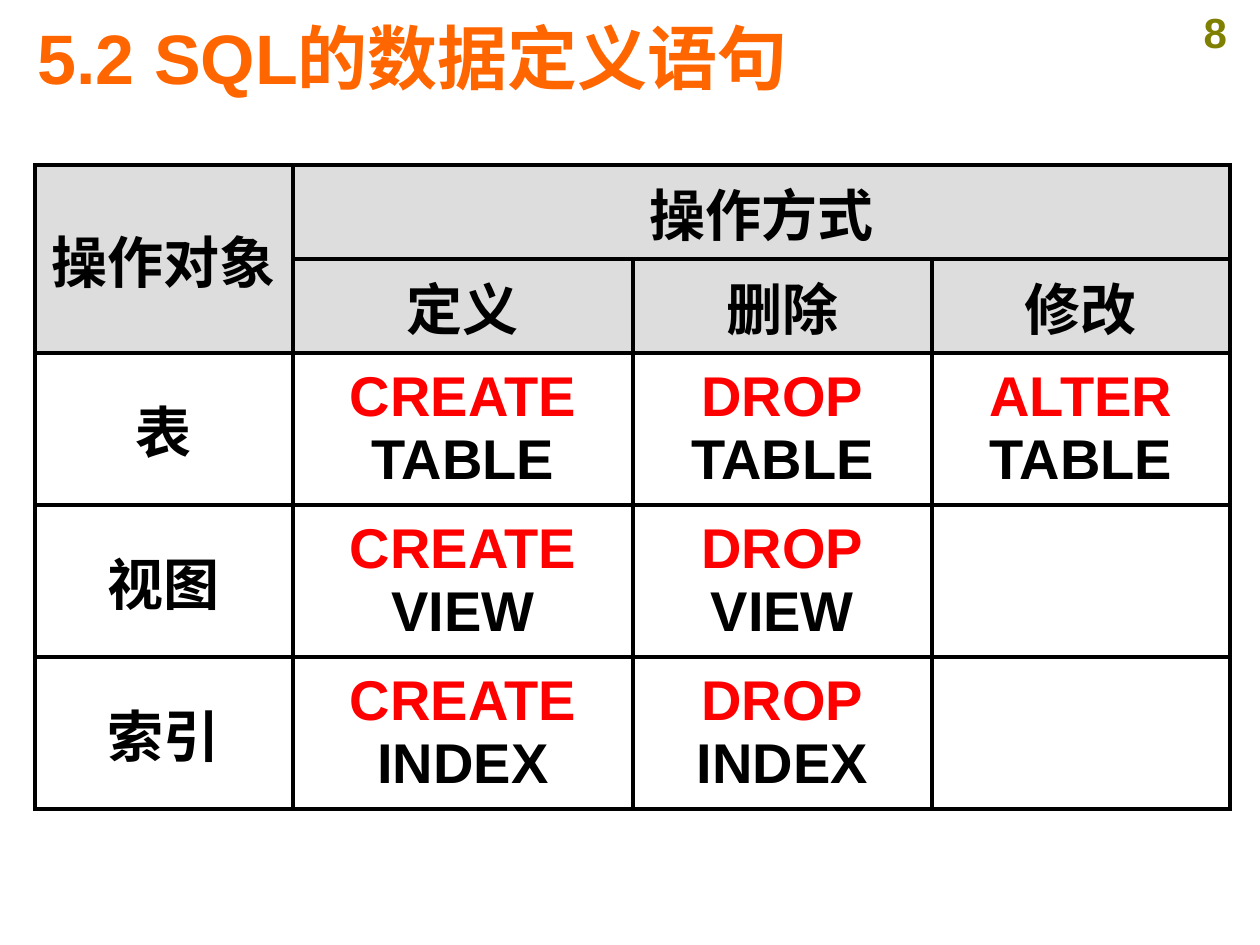
from typing import NamedTuple

from lxml import etree
from pptx import Presentation
from pptx import util as u
from pptx.dml.color import RGBColor
from pptx.enum import text
from pptx.oxml import ns

PX = 914400 // 126
ORANGE = RGBColor(0xFF, 0x66, 0x00)
OLIVE = RGBColor(0x80, 0x80, 0x00)
RED = RGBColor(0xFF, 0x00, 0x00)
BLACK = RGBColor(0x00, 0x00, 0x00)
GREY = RGBColor(0xDD, 0xDD, 0xDD)
WHITE = RGBColor(0xFF, 0xFF, 0xFF)

COL_WIDTHS = (258, 340, 299, 298)
HEADER_HEIGHT, BODY_HEIGHT = 94, 152


class Operation(NamedTuple):
    target: str
    keyword: str
    verbs: tuple[str, ...]


OPERATIONS = (
    Operation("表", "TABLE", ("CREATE", "DROP", "ALTER")),
    Operation("视图", "VIEW", ("CREATE", "DROP")),
    Operation("索引", "INDEX", ("CREATE", "DROP")),
)
HEADERS = {(0, 0): "操作对象", (0, 1): "操作方式",
           (1, 1): "定义", (1, 2): "删除", (1, 3): "修改"}


def px(n: int) -> u.Emu:
    return u.Emu(n * PX)


def add_run(p, words: str, size: int, color: RGBColor) -> None:
    r = p.add_run()
    r.text = words
    r.font.name = "Arial"
    r.font.size = u.Pt(size)
    r.font.bold = True
    r.font.color.rgb = color


def style_cell(cell, fill: RGBColor) -> None:
    """Give the cell black borders on all sides and a plain fill."""
    tc_pr = cell._tc.get_or_add_tcPr()
    for side in ("a:lnL", "a:lnR", "a:lnT", "a:lnB"):
        ln = etree.SubElement(tc_pr, ns.qn(side), w=str(u.Pt(2.25)))
        solid = etree.SubElement(ln, ns.qn("a:solidFill"))
        etree.SubElement(solid, ns.qn("a:srgbClr"), val=str(BLACK))
    cell.fill.solid()
    cell.fill.fore_color.rgb = fill
    cell.vertical_anchor = text.MSO_ANCHOR.MIDDLE


def write_cell(cell, *runs: tuple[str, RGBColor]) -> None:
    p = cell.text_frame.paragraphs[0]
    p.alignment = text.PP_ALIGN.CENTER
    for words, color in runs:
        add_run(p, words, 32, color)


def add_title(s) -> None:
    sp = s.shapes.title
    sp.left, sp.top, sp.width, sp.height = px(25), px(22), px(1193), px(69)
    tf = sp.text_frame
    tf.auto_size = text.MSO_AUTO_SIZE.NONE
    tf.vertical_anchor = text.MSO_ANCHOR.MIDDLE
    p = tf.paragraphs[0]
    p.alignment = text.PP_ALIGN.LEFT
    add_run(p, "5.2 SQL的数据定义语句", 40, ORANGE)


def add_page_number(s) -> None:
    tf = s.shapes.add_textbox(px(1171), 0, px(89), px(63)).text_frame
    tf.word_wrap = True
    p = tf.paragraphs[0]
    p.alignment = text.PP_ALIGN.CENTER
    add_run(p, "8", 24, OLIVE)


def add_operations_table(s) -> None:
    heights = [HEADER_HEIGHT] * 2 + [BODY_HEIGHT] * len(OPERATIONS)
    table = s.shapes.add_table(len(heights), len(COL_WIDTHS), px(35), px(165),
                               px(sum(COL_WIDTHS)), px(sum(heights))).table
    for column, width in zip(table.columns, COL_WIDTHS):
        column.width = px(width)
    for i, (row, height) in enumerate(zip(table.rows, heights)):
        row.height = px(height)
        for cell in row.cells:
            style_cell(cell, GREY if i < 2 else WHITE)

    table.cell(0, 0).merge(table.cell(1, 0))
    table.cell(0, 1).merge(table.cell(0, 3))
    for (i, j), words in HEADERS.items():
        write_cell(table.cell(i, j), (words, BLACK))
    for i, op in enumerate(OPERATIONS, start=2):
        write_cell(table.cell(i, 0), (op.target, BLACK))
        for j, verb in enumerate(op.verbs, start=1):
            write_cell(table.cell(i, j), (verb, RED), (f" {op.keyword}", BLACK))


def main() -> None:
    prs = Presentation()
    prs.slide_width, prs.slide_height = px(1260), px(945)
    s = prs.slides.add_slide(prs.slide_layouts[5])
    add_page_number(s)
    add_title(s)
    add_operations_table(s)
    prs.save("out.pptx")


if __name__ == "__main__":
    main()
